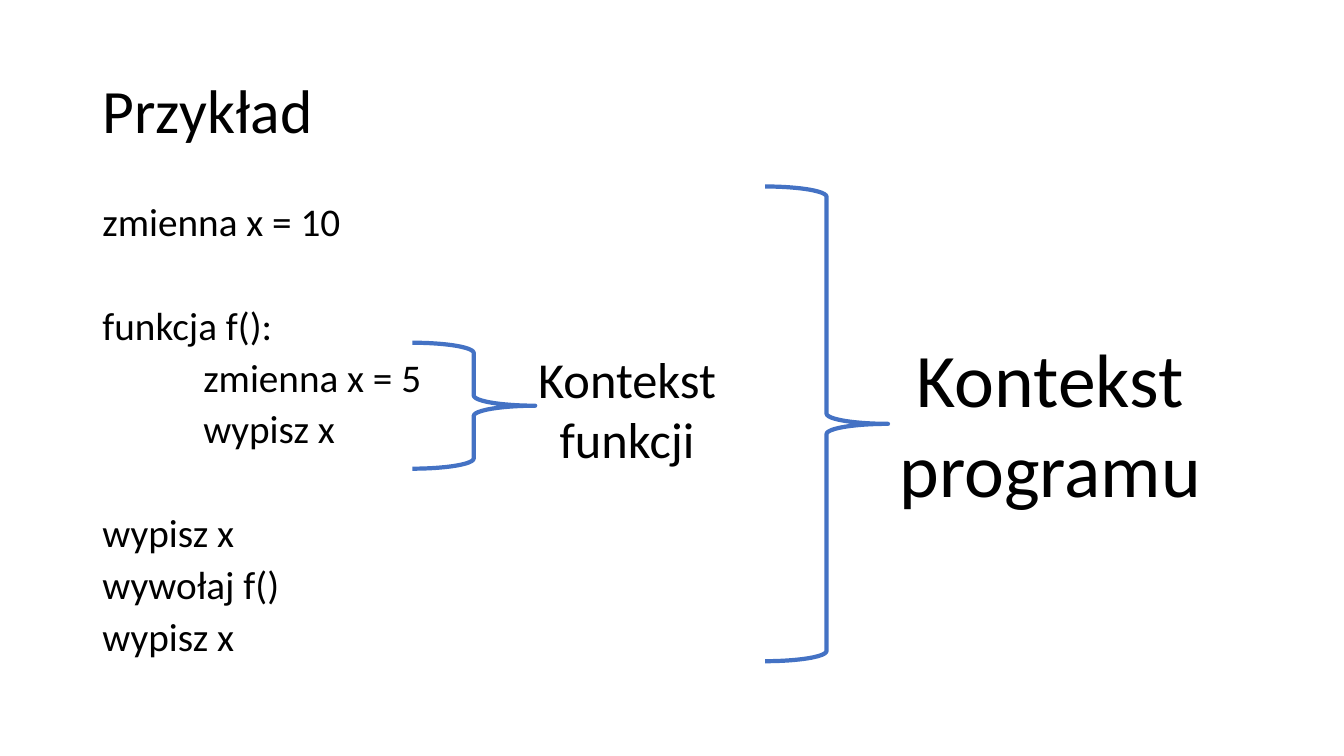
from dataclasses import dataclass

import pptx
import pptx.dml.color
import pptx.enum.shapes
import pptx.enum.text
import pptx.oxml.ns
import pptx.presentation
import pptx.shapes.base
import pptx.slide
import pptx.text.text
import pptx.util

Pt = pptx.util.Pt


@dataclass(frozen=True)
class Theme:
    font: str = "Calibri"
    ink: pptx.dml.color.RGBColor = pptx.dml.color.RGBColor(0x00, 0x00, 0x00)
    accent: pptx.dml.color.RGBColor = pptx.dml.color.RGBColor(0x44, 0x72, 0xC4)
    title_size: float = 44
    code_size: float = 28
    brace_width: float = 3


@dataclass(frozen=True)
class Box:
    left: float
    top: float
    width: float
    height: float


@dataclass(frozen=True)
class CodeLine:
    text: str
    depth: int = 0
    starts_block: bool = False


@dataclass(frozen=True)
class Scope:
    brace: Box
    label: Box
    words: tuple[str, ...]
    size: float


THEME = Theme()
INDENT = 72
LINE_GAP = 10
BLOCK_GAP = 47.3  # line gap plus the height of one code line

TITLE_BOX = Box(66, 28.8, 828, 104.4)
CODE_BOX = Box(66, 144, 828, 342.7)

CODE = [
    CodeLine("zmienna x = 10"),
    CodeLine("funkcja f():", starts_block=True),
    CodeLine("zmienna x = 5", depth=1),
    CodeLine("wypisz x", depth=1),
    CodeLine("wypisz x", starts_block=True),
    CodeLine("wywołaj f()"),
    CodeLine("wypisz x"),
]

SCOPES = [
    Scope(Box(546.5, 133.2, 87.8, 339.1), Box(634.3, 233.3, 231.8, 138.2),
          ("Kontekst", "programu"), 54),
    Scope(Box(294.5, 244.8, 87.8, 90), Box(376.6, 244.8, 142.6, 94.3),
          ("Kontekst", "funkcji"), 36),
]


def place(part: pptx.shapes.base.BaseShape, box: Box) -> None:
    part.left, part.top = Pt(box.left), Pt(box.top)
    part.width, part.height = Pt(box.width), Pt(box.height)


def add_run(paragraph: pptx.text.text._Paragraph, text: str, size: float) -> None:
    run = paragraph.add_run()
    run.text = text
    run.font.name = THEME.font
    run.font.size = Pt(size)
    run.font.color.rgb = THEME.ink


def remove_bullet(paragraph: pptx.text.text._Paragraph, indent: float) -> None:
    properties = paragraph._p.get_or_add_pPr()
    properties.set("marL", str(int(Pt(indent))))
    properties.set("indent", "0")
    properties.append(pptx.oxml.parse_xml(f"<a:buNone {pptx.oxml.ns.nsdecls('a')}/>"))


def write_title(slide: pptx.slide.Slide) -> None:
    title = slide.shapes.title
    place(title, TITLE_BOX)
    title.text_frame.vertical_anchor = pptx.enum.text.MSO_ANCHOR.MIDDLE
    heading = title.text_frame.paragraphs[0]
    heading.alignment = pptx.enum.text.PP_ALIGN.LEFT
    heading.line_spacing = 0.9
    add_run(heading, "Przykład", THEME.title_size)


def write_code(slide: pptx.slide.Slide) -> None:
    code = slide.placeholders[1]
    place(code, CODE_BOX)
    frame = code.text_frame
    frame.auto_size = pptx.enum.text.MSO_AUTO_SIZE.NONE
    for index, line in enumerate(CODE):
        statement = frame.add_paragraph() if index else frame.paragraphs[0]
        statement.line_spacing = 0.8
        statement.space_before = Pt(BLOCK_GAP if line.starts_block else LINE_GAP)
        remove_bullet(statement, line.depth * INDENT)
        add_run(statement, line.text, THEME.code_size)


def draw_scope(slide: pptx.slide.Slide, scope: Scope) -> None:
    spot = scope.brace
    brace = slide.shapes.add_shape(
        pptx.enum.shapes.MSO_SHAPE.RIGHT_BRACE,
        Pt(spot.left), Pt(spot.top), Pt(spot.width), Pt(spot.height))
    brace.shadow.inherit = False
    brace.fill.background()
    brace.line.color.rgb = THEME.accent
    brace.line.width = Pt(THEME.brace_width)

    spot = scope.label
    label = slide.shapes.add_textbox(
        Pt(spot.left), Pt(spot.top), Pt(spot.width), Pt(spot.height))
    label.text_frame.word_wrap = False
    label.text_frame.auto_size = pptx.enum.text.MSO_AUTO_SIZE.SHAPE_TO_FIT_TEXT
    caption = label.text_frame.paragraphs[0]
    caption.alignment = pptx.enum.text.PP_ALIGN.CENTER
    for index, word in enumerate(scope.words):
        if index:
            caption.add_line_break()
        add_run(caption, word, scope.size)


def main() -> None:
    deck = pptx.Presentation()
    deck.slide_width, deck.slide_height = Pt(960), Pt(540)
    slide = deck.slides.add_slide(deck.slide_layouts[1])

    # Title and code listing
    write_title(slide)
    write_code(slide)

    # Braces that mark each scope
    for scope in SCOPES:
        draw_scope(slide, scope)

    deck.save("out.pptx")


if __name__ == "__main__":
    main()
